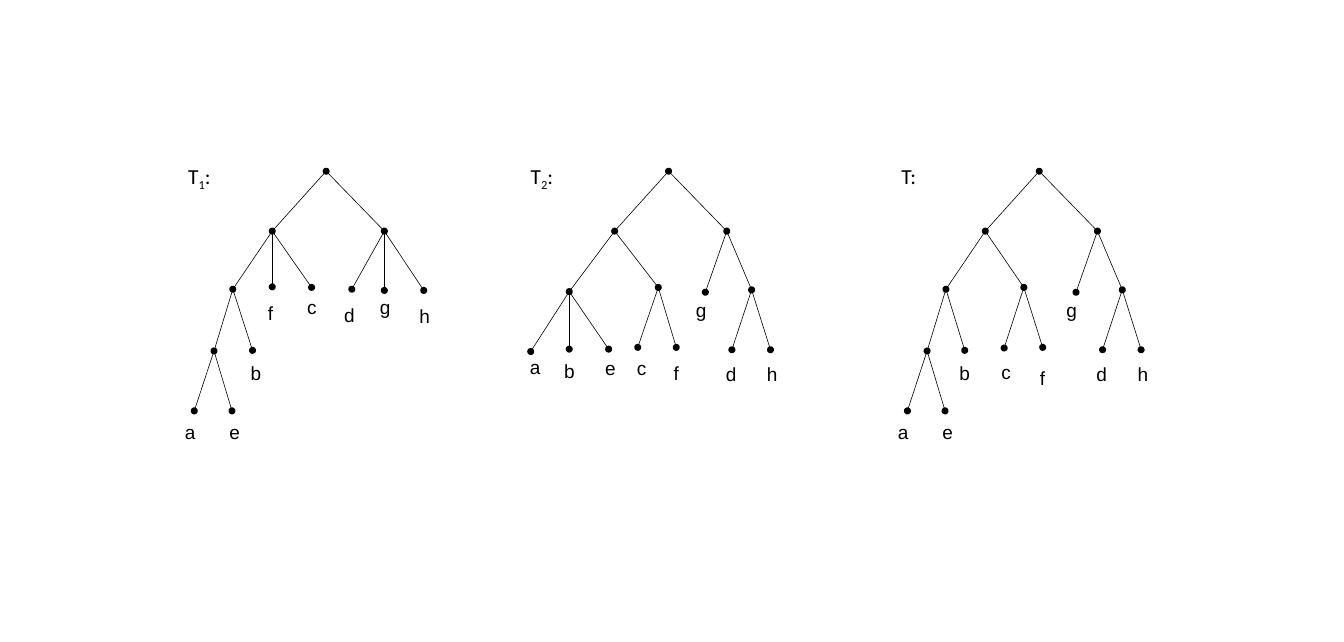
from dataclasses import dataclass

from lxml.etree import SubElement
from pptx import Presentation
from pptx.dml.color import RGBColor
from pptx.enum.shapes import MSO_CONNECTOR
from pptx.enum.text import MSO_AUTO_SIZE
from pptx.oxml.ns import qn
from pptx.util import Inches, Pt


@dataclass(frozen=True)
class Theme:
    ink: RGBColor = RGBColor(0, 0, 0)
    leaf_font: str = "Arial"
    leaf_size: int = 16
    title_font: str = "Calibri"
    title_size: int = 18
    edge_width: float = 0.5


@dataclass(frozen=True)
class Node:
    """Columns count from the root of the tree, rows from its level."""
    col: float
    row: float
    children: tuple = ()
    leaf: str = ""
    leaf_at: tuple = ()


THEME = Theme()

# Grid in inches
COLUMN, ROW, ROOT_TOP = 0.1, 0.7, 2.0
TITLE_AT = (-17.1, -0.21)
LEAF_HEIGHT, TITLE_HEIGHT = 0.37, 0.4
LEAF_WIDTHS = {"a": 0.32, "b": 0.31, "c": 0.29, "d": 0.32,
               "e": 0.29, "f": 0.27, "g": 0.31, "h": 0.32}


def branch(col, row, *children):
    return Node(col, row, children)


def leaf(name, col, row, name_col, name_row):
    return Node(col, row, leaf=name, leaf_at=(name_col, name_row))


# Subtrees that two trees have in common
PAIR_AE = branch(-13.1, 3,
                 leaf("a", -15.4, 4, -17.5, 4.09),
                 leaf("e", -11, 4, -12.3, 4.09))
GROUP_GDH = branch(6.8, 1,
                   leaf("g", 4.3, 2.02, 2.2, 2.06),
                   branch(9.7, 1.98,
                          leaf("d", 7.4, 2.98, 5.7, 3.13),
                          leaf("h", 11.9, 2.98, 10.5, 3.13)))

TREE_1 = branch(
    0, 0,
    branch(-6.3, 1,
           branch(-10.9, 1.97, PAIR_AE, leaf("b", -8.6, 2.99, -9.8, 3.11)),
           leaf("f", -6.3, 1.93, -7.8, 2.11),
           leaf("c", -1.7, 1.94, -3.2, 2)),
    branch(6.8, 1,
           leaf("d", 3, 1.97, 1.1, 2.13),
           leaf("g", 6.8, 1.99, 5.3, 2.01),
           leaf("h", 11.4, 1.99, 9.9, 2.16)))

TREE_2 = branch(
    0, 0,
    branch(-6.3, 1,
           branch(-11.6, 2.01,
                  leaf("a", -16.1, 3.01, -17.2, 3.01),
                  leaf("b", -11.6, 2.97, -13.2, 3.07),
                  leaf("e", -7, 2.97, -8.4, 3.03)),
           branch(-1.2, 1.94,
                  leaf("c", -3.6, 2.94, -4.7, 3.03),
                  leaf("f", 0.9, 2.94, -0.4, 3.11))),
    GROUP_GDH)

CONSENSUS = branch(
    0, 0,
    branch(-6.3, 1,
           branch(-10.9, 1.97, PAIR_AE, leaf("b", -8.7, 2.99, -10.3, 3.11)),
           branch(-1.8, 1.94,
                  leaf("c", -4.1, 2.95, -5.4, 3.09),
                  leaf("f", 0.4, 2.94, -0.9, 3.19))),
    GROUP_GDH)

# Title letter, subscript, title width, left of the root, tree
TREES = (("T", "1", 0.48, 3.81, TREE_1),
         ("T", "2", 0.48, 7.81, TREE_2),
         ("T", "", 0.38, 12.14, CONSENSUS))


def place(root_left, col, row):
    return Inches(root_left + col * COLUMN), Inches(ROOT_TOP + row * ROW)


def add_run(paragraph, text, font, size, subscript=False):
    run = paragraph.add_run()
    run.text = text
    run.font.name = font
    run.font.size = Pt(size)
    run.font.color.rgb = THEME.ink
    if subscript:
        run.font._element.set("baseline", "-25000")


def add_label(slide, position, width, height):
    box = slide.shapes.add_textbox(*position, Inches(width), Inches(height))
    box.text_frame.word_wrap = False
    box.text_frame.auto_size = MSO_AUTO_SIZE.SHAPE_TO_FIT_TEXT
    return box.text_frame.paragraphs[0]


def add_edge(slide, start, end, dot_at_start):
    edge = slide.shapes.add_connector(MSO_CONNECTOR.STRAIGHT, *start, *end)
    edge.line.color.rgb = THEME.ink
    edge.line.width = Pt(THEME.edge_width)
    line = edge.line._get_or_add_ln()
    if dot_at_start:
        SubElement(line, qn("a:headEnd"), type="oval")
    SubElement(line, qn("a:tailEnd"), type="oval")
    SubElement(edge._element.spPr, qn("a:effectLst"))


def add_subtree(slide, root_left, node):
    start = place(root_left, node.col, node.row)
    for child in node.children:
        end = place(root_left, child.col, child.row)
        is_first_root_edge = node.row == 0 and child is node.children[0]
        add_edge(slide, start, end, is_first_root_edge)
        add_subtree(slide, root_left, child)
    if node.leaf:
        name = add_label(slide, place(root_left, *node.leaf_at),
                         LEAF_WIDTHS[node.leaf], LEAF_HEIGHT)
        add_run(name, node.leaf, THEME.leaf_font, THEME.leaf_size)


def add_title(slide, root_left, letter, subscript, width):
    title = add_label(slide, place(root_left, *TITLE_AT), width, TITLE_HEIGHT)
    style = (THEME.title_font, THEME.title_size)
    if subscript:
        add_run(title, letter, *style)
        add_run(title, subscript, *style, subscript=True)
        add_run(title, ":", *style)
    else:
        add_run(title, letter + ":", *style)


def main():
    deck = Presentation()
    deck.slide_width, deck.slide_height = Inches(15.7), Inches(7.5)
    slide = deck.slides.add_slide(deck.slide_layouts[6])
    for letter, subscript, width, root_left, tree in TREES:
        add_title(slide, root_left, letter, subscript, width)
        add_subtree(slide, root_left, tree)
    deck.save("out.pptx")


if __name__ == "__main__":
    main()
